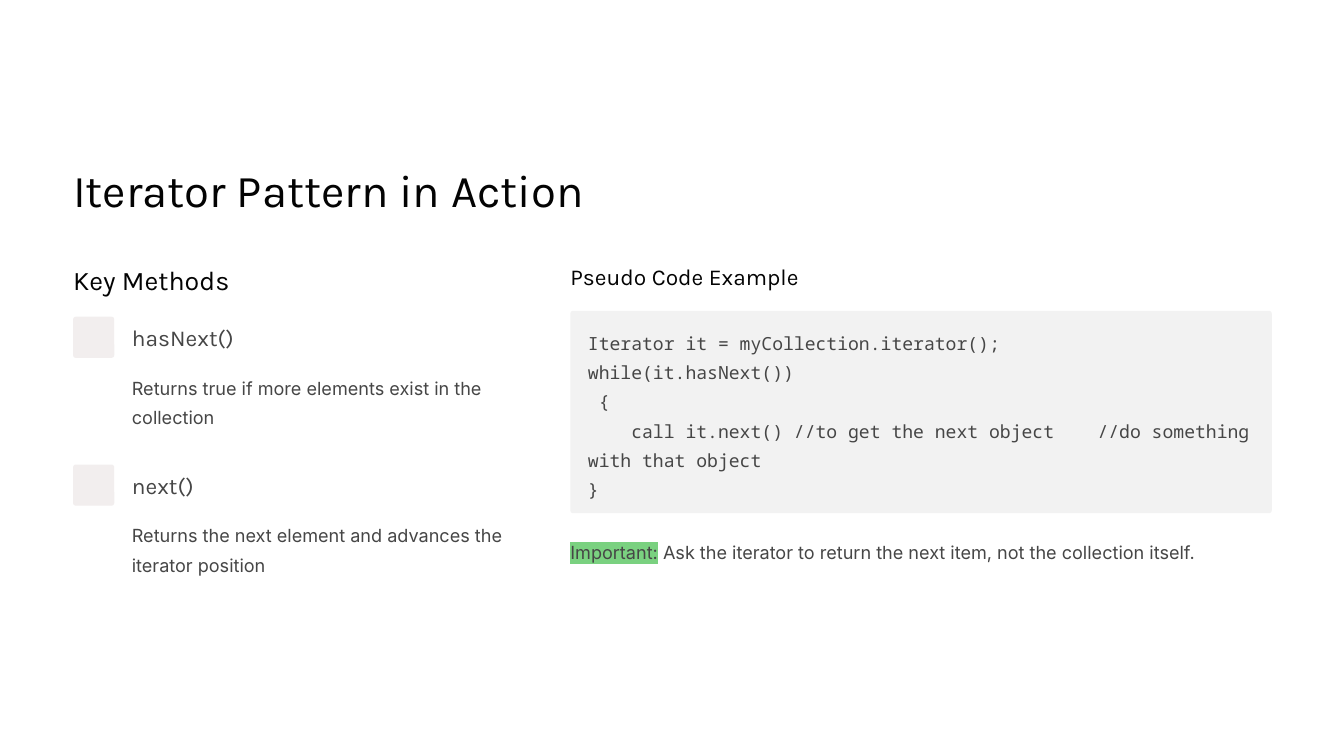
from lxml import etree
from pptx import Presentation
from pptx.dml.color import RGBColor
from pptx.enum.shapes import MSO_SHAPE
from pptx.enum.text import MSO_ANCHOR, MSO_AUTO_SIZE, PP_ALIGN
from pptx.oxml.ns import qn
from pptx.util import Inches, Pt

ROUNDED = MSO_SHAPE.ROUNDED_RECTANGLE
TOP = MSO_ANCHOR.TOP
LEFT = PP_ALIGN.LEFT
NO_AUTOFIT = MSO_AUTO_SIZE.NONE

WHITE = RGBColor(0xFF, 0xFF, 0xFF)
INK = RGBColor(0x03, 0x03, 0x03)
GRAY = RGBColor(0x46, 0x46, 0x46)
MARKER = RGBColor(0xF2, 0xEE, 0xEE)
PANEL = RGBColor(0xF2, 0xF2, 0xF2)
GREEN = RGBColor(0x7A, 0xD1, 0x80)

# Each style: font name, size, line spacing, colour
TITLE = ("Karla", 39, 48.5, INK)
HEADING = ("Karla", 23, 29, INK)
SUBHEADING = ("Karla", 19.5, 24, INK)
METHOD = ("Karla", 19.5, 24, GRAY)
BODY = ("Inter", 15.5, 25, GRAY)
CODE = ("Noto Sans Mono", 15.5, 25, GRAY)

METHODS = [
    ("hasNext()", "Returns true if more elements exist in the collection"),
    ("next()", "Returns the next element and advances the iterator position"),
]
CODE_LINES = [
    "Iterator it = myCollection.iterator();",
    "while(it.hasNext())",
    " {",
    "    call it.next() //to get the next object    //do something with that object",
    "}",
]


def fill_text(shape, lines, style, wrap=True):
    name, size, spacing, color = style
    frame = shape.text_frame
    frame.margin_left = frame.margin_right = 0
    frame.margin_top = frame.margin_bottom = 0
    frame.auto_size = NO_AUTOFIT
    frame.vertical_anchor = TOP
    frame.word_wrap = wrap
    frame.text = "\n".join(lines)
    for paragraph in frame.paragraphs:
        paragraph.alignment = LEFT
        paragraph.line_spacing = Pt(spacing)
        paragraph.font.name = name
        paragraph.font.size = Pt(size)
        paragraph.font.color.rgb = color


def add_text(slide, left, top, width, height, lines, style, wrap=True):
    box = slide.shapes.add_textbox(
        Inches(left), Inches(top), Inches(width), Inches(height))
    fill_text(box, lines, style, wrap)
    return box


def add_rounded(slide, left, top, width, height, radius, color):
    shape = slide.shapes.add_shape(
        ROUNDED, Inches(left), Inches(top), Inches(width), Inches(height))
    shape.adjustments[0] = radius
    shape.shadow.inherit = False
    shape.fill.solid()
    shape.fill.fore_color.rgb = color
    shape.line.fill.background()


def highlight(run, color):
    mark = etree.SubElement(run.font._element, qn("a:highlight"))
    etree.SubElement(mark, qn("a:srgbClr")).set("val", str(color))


def add_title(slide, left, top, width, height):
    title = slide.shapes.title
    title.left, title.top = Inches(left), Inches(top)
    title.width, title.height = Inches(width), Inches(height)
    fill_text(title, ["Iterator Pattern in Action"], TITLE, wrap=False)


def add_method(slide, left, top, width, name, description):
    indent = 0.7
    add_rounded(slide, left, top, 0.49, 0.49, 0.067, MARKER)
    add_text(slide, left + indent, top + 0.08, 2.71, 0.34, [name], METHOD, wrap=False)
    add_text(slide, left + indent, top + 0.63, width - indent, 0.69, [description], BODY)


def add_key_methods(slide, left, top, width):
    add_text(slide, left, top, 3.26, 0.41, ["Key Methods"], HEADING, wrap=False)
    for index, (name, description) in enumerate(METHODS):
        add_method(slide, left, top + 0.65 + index * 1.76, width, name, description)


def add_code_example(slide, left, top, width):
    add_text(slide, left, top, 2.91, 0.34, ["Pseudo Code Example"], SUBHEADING, wrap=False)
    add_rounded(slide, left, top + 0.58, width, 2.41, 0.014, PANEL)
    add_text(slide, left + 0.21, top + 0.75, width - 0.42, 2.08, CODE_LINES, CODE)
    note = add_text(slide, left, top + 3.24, width, 0.35, ["Important:"], BODY, wrap=False)
    paragraph = note.text_frame.paragraphs[0]
    highlight(paragraph.runs[0], GREEN)
    paragraph.add_run().text = " Ask the iterator to return the next item, not the collection itself."


def main():
    presentation = Presentation()
    presentation.slide_width = Inches(16)
    presentation.slide_height = Inches(9)
    slide = presentation.slides.add_slide(presentation.slide_layouts[5])
    slide.background.fill.solid()
    slide.background.fill.fore_color.rgb = WHITE
    add_title(slide, 0.87, 1.9, 6.48, 0.68)
    add_key_methods(slide, 0.87, 3.12, 5.38)
    add_code_example(slide, 6.79, 3.12, 8.35)
    presentation.save("out.pptx")


if __name__ == "__main__":
    main()
